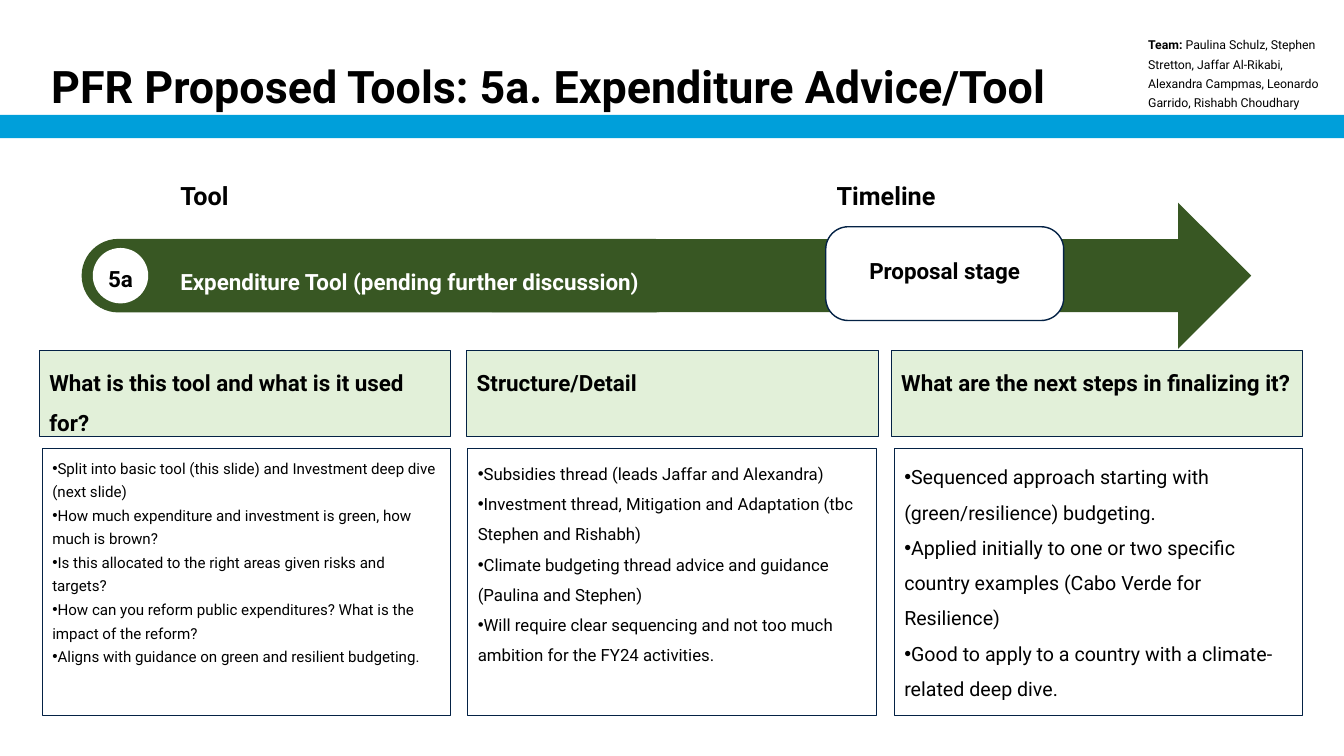
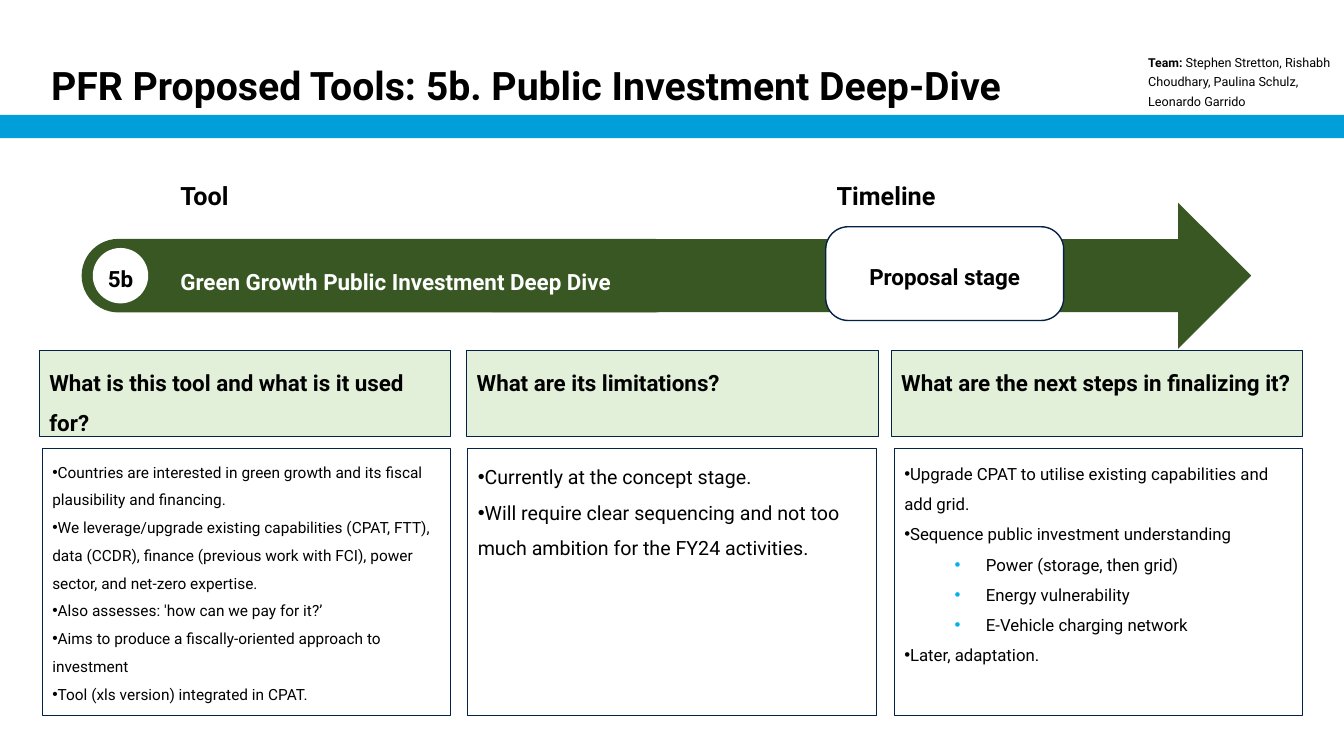
import pptx
import pptx.util
import pptx.dml.color
import pptx.enum.shapes
import pptx.enum.text
import pptx.oxml.ns
from lxml import etree

Inches = pptx.util.Inches
Pt = pptx.util.Pt
Preset = pptx.enum.shapes.MSO_SHAPE
Anchor = pptx.enum.text.MSO_ANCHOR
Align = pptx.enum.text.PP_ALIGN

COLORS = {
    "text": "000000",
    "white": "FFFFFF",
    "band": "009FDA",
    "arrow": "385723",
    "heading": "E2F0D9",
    "outline": "042245",
    "sub_bullet": "00B0F0",
}
FONT = "Roboto"
HEADING_LEFTS = (0.39, 4.63, 8.84)
DETAIL_LEFTS = (0.42, 4.64, 8.87)


class ToolDeck:
    """Holds the shared style and the slide being built."""

    def __init__(self):
        self.deck = pptx.Presentation()
        self.deck.slide_width = Inches(13.33)
        self.deck.slide_height = Inches(7.5)
        self.slide = None

    def color(self, name):
        return pptx.dml.color.RGBColor.from_string(COLORS[name])

    def new_slide(self):
        self.slide = self.deck.slides.add_slide(self.deck.slide_layouts[6])

    def shape(self, preset, place, fill=None, line_width=None, rounding=None):
        shape = self.slide.shapes.add_shape(preset, *map(Inches, place))
        shape.shadow.inherit = False
        if rounding is not None:
            shape.adjustments[0] = rounding
        if fill:
            shape.fill.solid()
            shape.fill.fore_color.rgb = self.color(fill)
        else:
            shape.fill.background()
        if line_width:
            shape.line.color.rgb = self.color("outline")
            shape.line.width = Pt(line_width)
        else:
            shape.line.fill.background()
        return shape

    def frame(self, shape, anchor=Anchor.TOP, top=0.05, bottom=0.05):
        frame = shape.text_frame
        frame.word_wrap = True
        frame.vertical_anchor = anchor
        frame.margin_top, frame.margin_bottom = Inches(top), Inches(bottom)
        return frame

    def format_run(self, run, size, bold=False, color="text"):
        run.font.name = FONT
        run.font.size = Pt(size)
        run.font.bold = bold
        run.font.color.rgb = self.color(color)

    def set_text(self, paragraph, text, size, bold=False, color="text",
                 spacing=1.5, align=Align.LEFT):
        paragraph.text = text
        paragraph.alignment = align
        paragraph.line_spacing = spacing
        self.format_run(paragraph.runs[0], size, bold, color)

    def label(self, place, text, size, color="text", spacing=1.5,
              align=Align.LEFT, **frame_options):
        box = self.slide.shapes.add_textbox(*map(Inches, place))
        frame = self.frame(box, **frame_options)
        self.set_text(frame.paragraphs[0], text, size, True, color, spacing,
                      align)

    def bullet(self, paragraph, is_sub):
        props = paragraph._p.get_or_add_pPr()
        props.set("marL", str(Inches(0.81 if is_sub else 0)))
        props.set("indent", str(Inches(-0.31 if is_sub else 0)))
        tag = pptx.oxml.ns.qn
        if is_sub:
            props.set("lvl", "1")
            tint = etree.SubElement(props, tag("a:buClr"))
            etree.SubElement(tint, tag("a:srgbClr"), val=COLORS["sub_bullet"])
        etree.SubElement(props, tag("a:buFont"), typeface="Arial")
        etree.SubElement(props, tag("a:buChar"), char="•")

    def team(self, names, size, bottom):
        box = self.slide.shapes.add_textbox(
            Inches(11.29), Inches(0.49), Inches(2.04), Inches(0.68))
        frame = self.frame(box, Anchor.MIDDLE, bottom=bottom)
        credit = frame.paragraphs[0]
        self.set_text(credit, "Team: ", 8.8, bold=True, spacing=1.3)
        members = credit.add_run()
        members.text = names
        self.format_run(members, size)

    def timeline(self, code, tool, stage_bottom):
        # Band, arrow and stage box
        self.shape(Preset.RECTANGLE, (0, 1.14, 13.33, 0.23), "band")
        self.shape(Preset.ROUNDED_RECTANGLE, (0.81, 2.37, 6.04, 0.73), "arrow",
                   rounding=0.5)
        self.shape(Preset.RIGHT_ARROW, (4.88, 2.01, 7.53, 1.45), "arrow")
        self.shape(Preset.ROUNDED_RECTANGLE, (8.19, 2.25, 2.36, 0.93), "white",
                   line_width=1, rounding=0.24)
        self.shape(Preset.OVAL, (0.92, 2.46, 0.55, 0.55), "white")
        # Labels
        self.label((1.69, 1.59, 2.21, 0.6), "Tool", 18)
        self.label((8.2, 1.59, 2.21, 0.6), "Timeline", 18)
        self.label((0.92, 2.45, 0.55, 0.55), code, 16, align=Align.CENTER)
        self.label((1.69, 2.48, 5.69, 0.52), tool, 16, "white")
        self.label((8.31, 2.26, 2.12, 0.84), "Proposal stage", 16,
                   align=Align.CENTER, anchor=Anchor.MIDDLE, bottom=stage_bottom)

    def column(self, index, heading, size, points, spacing=1.5):
        header = self.shape(Preset.RECTANGLE,
                            (HEADING_LEFTS[index], 3.48, 4.08, 0.85),
                            "heading", line_width=0.75)
        self.set_text(self.frame(header).paragraphs[0], heading, 16, bold=True)
        detail = self.shape(Preset.RECTANGLE,
                            (DETAIL_LEFTS[index], 4.45, 4.05, 2.65),
                            line_width=0.75)
        frame = self.frame(detail)
        for number, point in enumerate(points):
            paragraph = frame.add_paragraph() if number else frame.paragraphs[0]
            is_sub = isinstance(point, tuple)
            self.bullet(paragraph, is_sub)
            self.set_text(paragraph, point[0] if is_sub else point, size,
                          spacing=spacing)

    def tool_slide(self, title, title_top, title_size, code, tool, stage_bottom,
                   team, columns):
        self.new_slide()
        self.timeline(code, tool, stage_bottom)
        self.label((0.41, title_top, 10.8, 0.64), title, title_size,
                   spacing=0.9, top=0.14)
        self.team(*team)
        for index, content in enumerate(columns):
            self.column(index, *content)


PURPOSE = "What is this tool and what is it used for?"
NEXT_STEPS = "What are the next steps in finalizing it?"
SEQUENCING = ("Will require clear sequencing and not too much ambition "
              "for the FY24 activities.")


def main():
    tools = ToolDeck()

    # Expenditure tool
    tools.tool_slide(
        "PFR Proposed Tools: 5a. Expenditure Advice/Tool", 0.5, 32,
        "5a", "Expenditure Tool (pending further discussion)", 0.17,
        ("Paulina Schulz, Stephen Stretton, Jaffar Al-Rikabi, "
         "Alexandra Campmas, Leonardo Garrido, Rishabh Choudhary", 8.8, 0.29),
        [
            (PURPOSE, 10.8, [
                "Split into basic tool (this slide) and Investment deep dive "
                "(next slide)",
                "How much expenditure and investment is green, how much is brown?",
                "Is this allocated to the right areas given risks and targets?",
                "How can you reform public expenditures? What is the impact of "
                "the reform?",
                "Aligns with guidance on green and resilient budgeting.",
            ], 1.3),
            ("Structure/Detail", 12, [
                "Subsidies thread (leads Jaffar and Alexandra)",
                "Investment thread, Mitigation and Adaptation (tbc Stephen and "
                "Rishabh)",
                "Climate budgeting thread advice and guidance (Paulina and "
                "Stephen)",
                SEQUENCING,
            ]),
            (NEXT_STEPS, 14, [
                "Sequenced approach starting with (green/resilience) budgeting.",
                "Applied initially to one or two specific country examples "
                "(Cabo Verde for Resilience)",
                "Good to apply to a country with a climate-related deep dive.",
            ]),
        ])

    # Public investment deep-dive
    tools.tool_slide(
        "PFR Proposed Tools: 5b. Public Investment Deep-Dive", 0.52, 28,
        "5b", "Green Growth Public Investment Deep Dive", 0.05,
        ("Stephen Stretton, Rishabh Choudhary, Paulina Schulz, "
         "Leonardo Garrido", 9, 0.13),
        [
            (PURPOSE, 11, [
                "Countries are interested in green growth and its fiscal "
                "plausibility and financing.",
                "We leverage/upgrade existing capabilities (CPAT, FTT), data "
                "(CCDR), finance (previous work with FCI), power sector, and "
                "net-zero expertise.",
                "Also assesses: 'how can we pay for it?’",
                "Aims to produce a fiscally-oriented approach to investment",
                "Tool (xls version) integrated in CPAT.",
            ]),
            ("What are its limitations?", 14, [
                "Currently at the concept stage.",
                SEQUENCING,
            ]),
            (NEXT_STEPS, 12, [
                "Upgrade CPAT to utilise existing capabilities and add grid.",
                "Sequence public investment understanding",
                ("Power (storage, then grid)",),
                ("Energy vulnerability",),
                ("E-Vehicle charging network",),
                "Later, adaptation.",
            ]),
        ])

    tools.deck.save("out.pptx")


if __name__ == "__main__":
    main()
